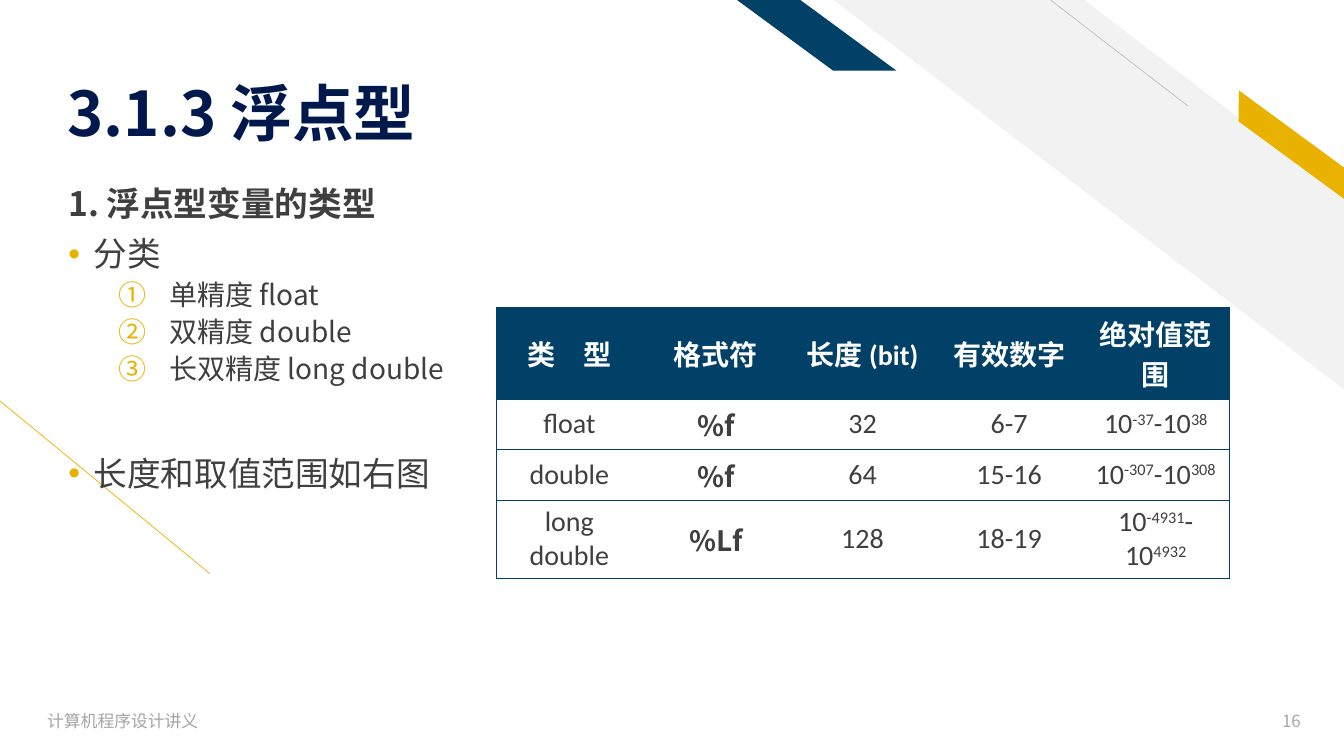
from dataclasses import dataclass

from lxml import etree
from pptx import Presentation, util as u
from pptx.dml.color import RGBColor
from pptx.enum import shapes, text
from pptx.oxml import ns


@dataclass
class Theme:
    navy: str = "014067"
    gold: str = "EAB200"
    band: str = "F2F2F2"
    rule: str = "BFBFBF"
    head: str = "00194C"
    ink: str = "3F3F3F"
    mute: str = "A5A5A5"
    white: str = "FFFFFF"
    sans: str = "Noto Sans CJK SC"
    cell: str = "Calibri"
    title: int = 44
    body: int = 24
    item: int = 20
    foot: int = 12
    thin: float = 0.5


def apply(obj, **vals):
    for key, val in vals.items():
        setattr(obj, key, val)


def node(root, tag, **vals):
    return etree.SubElement(root, ns.qn(tag), vals)


class Deck:
    """Holds the theme and the current slide and draws each kind of element."""

    def __init__(self, theme):
        self.theme = theme
        self.prs = Presentation()
        apply(self.prs, slide_width=u.Inches(13.33), slide_height=u.Inches(7.5))
        self.slide = self.prs.slides.add_slide(self.prs.slide_layouts[6])

    def line(self, start, end, color):
        ends = [u.Inches(v) for v in (*start, *end)]
        link = self.slide.shapes.add_connector(shapes.MSO_CONNECTOR.STRAIGHT, *ends)
        link.line.color.rgb = RGBColor.from_string(color)
        link.line.width = u.Pt(self.theme.thin)
        node(link._element.spPr, "a:effectLst")

    def shape(self, kind, box, adj, color, turn=0):
        form = self.slide.shapes.add_shape(kind, *map(u.Inches, box))
        form.adjustments[0] = adj
        form.rotation = turn
        form._element.spPr.find(ns.qn("a:xfrm")).set("flipH", "1")
        form.shadow.inherit = False
        form.fill.solid()
        form.fill.fore_color.rgb = RGBColor.from_string(color)
        form.line.fill.background()

    def run(self, para, words, size, color, bold=False, font=None, sup=False):
        run = para.add_run()
        run.text = words
        apply(run.font, size=u.Pt(size), bold=bold, name=font or self.theme.sans)
        run.font.color.rgb = RGBColor.from_string(color)
        mark = run.font._element
        node(mark, "a:ea", typeface=self.theme.sans)
        if sup:
            mark.set("baseline", "30000")

    def frame(self, box, anchor, foot=0.05):
        area = self.slide.shapes.add_textbox(*map(u.Inches, box)).text_frame
        apply(area, word_wrap=True, vertical_anchor=anchor, margin_bottom=u.Inches(foot))
        return area

    def label(self, words, box, anchor, size, color, foot=0.05, bold=False,
              align=text.PP_ALIGN.LEFT, space=1.0):
        para = self.frame(box, anchor, foot).paragraphs[0]
        apply(para, alignment=align, line_spacing=space)
        self.run(para, words, size, color, bold)

    def bullet(self, para, kind, left, hang):
        props = para._p.get_or_add_pPr()
        for key, val in {"marL": left, "indent": -hang}.items():
            props.set(key, str(u.Inches(val)))
        node(node(props, "a:buClr"), "a:srgbClr", val=self.theme.gold)
        if kind == "•":
            node(props, "a:buFont", typeface="Arial")
            node(props, "a:buChar", char=kind)
        else:
            node(props, "a:buAutoNum", type=kind)

    def outline(self, box, box_sides):
        props = box._tc.get_or_add_tcPr()
        for side in box_sides:
            edge = node(props, f"a:ln{side}", w=str(u.Pt(self.theme.thin)))
            node(node(edge, "a:solidFill"), "a:srgbClr", val=self.theme.navy)

    def list(self, box, rows):
        area = self.frame(box, text.MSO_ANCHOR.TOP)
        for i, (words, size, bold, gap, mark) in enumerate(rows):
            para = area.add_paragraph() if i else area.paragraphs[0]
            apply(para, line_spacing=0.9, space_before=u.Pt(gap))
            if mark == "•":
                self.bullet(para, mark, 0.25, 0.25)
            elif mark:
                para.level = 1
                self.bullet(para, mark, 1, 0.5)
            self.run(para, words, size, self.theme.ink, bold)

    def table(self, box, rows, highs):
        look = self.theme
        last = len(rows[0]) - 1
        grid = self.slide.shapes.add_table(len(rows), last + 1, *map(u.Inches, box))
        style = grid._element.xpath(".//a:tableStyleId")[0]
        style.text = "{2D5ABB26-0587-4C30-8999-92F81FD0307C}"
        grid.table.horz_banding = False
        for r, (row, high) in enumerate(zip(rows, highs)):
            grid.table.rows[r].height = u.Inches(high)
            for c, words in enumerate(row):
                box = grid.table.cell(r, c)
                box.vertical_anchor = text.MSO_ANCHOR.MIDDLE
                self.outline(box, "L" * (c == 0) + "R" * (c == last) + "TB")
                if r:
                    box.fill.background()
                else:
                    box.fill.solid()
                    box.fill.fore_color.rgb = RGBColor.from_string(look.navy)
                para = box.text_frame.paragraphs[0]
                para.alignment = text.PP_ALIGN.CENTER
                code = r > 0 and c == 1
                for i, part in enumerate(words.split("^")):
                    self.run(para, part, look.item, look.ink if r else look.white,
                             r == 0 or code, look.sans if code else look.cell, i % 2 == 1)


def main():
    look = Theme()
    deck = Deck(look)
    kind = shapes.MSO_SHAPE
    mid, low = text.MSO_ANCHOR.MIDDLE, text.MSO_ANCHOR.BOTTOM

    deck.line((2.08, 5.69), (-0.01, 3.97), look.gold)
    deck.shape(kind.DIAGONAL_STRIPE, (8.27, 0, 5.07, 3.87), 0.51, look.band)
    deck.line((11.78, 1.05), (10.42, 0), look.rule)
    deck.shape(kind.PARALLELOGRAM, (12.07, 1.31, 1.48, 0.25), 0.72, look.gold, 36.3)
    deck.shape(kind.PARALLELOGRAM, (7.31, 0, 1.58, 0.7), 1.36, look.navy)

    deck.label("计算机程序设计讲义", (0.37, 6.95, 4.5, 0.4), mid, look.foot, look.mute)
    deck.label("16", (12.19, 6.95, 0.81, 0.4), mid, look.foot, look.mute,
               align=text.PP_ALIGN.RIGHT)
    deck.label("3.1.3 浮点型", (0.57, 0.23, 9.11, 1.26), low, look.title, look.head,
               foot=0, bold=True, space=0.9)

    num = "circleNumDbPlain"
    kinds = ["单精度 float", "双精度 double", "长双精度 long double"]
    deck.list((0.58, 1.81, 4.29, 4.95), [
        ("1. 浮点型变量的类型", look.body, True, 10, None),
        ("分类", look.body, False, 10, "•"),
        *[(name, look.item, False, 5, num) for name in kinds],
        ("长度和取值范围如右图", look.body, False, 51, "•"),
    ])
    deck.table((4.92, 3.05, 7.27, 2.7), [
        ["类　型", "格式符", "长度 (bit)", "有效数字", "绝对值范围"],
        ["float", "%f", "32", "6-7", "10^-37^-10^38"],
        ["double", "%f", "64", "15-16", "10^-307^-10^308"],
        ["long double", "%Lf", "128", "18-19", "10^-4931^-10^4932"],
    ], [0.91, 0.5, 0.5, 0.78])
    deck.prs.save("out.pptx")


if __name__ == "__main__":
    main()
